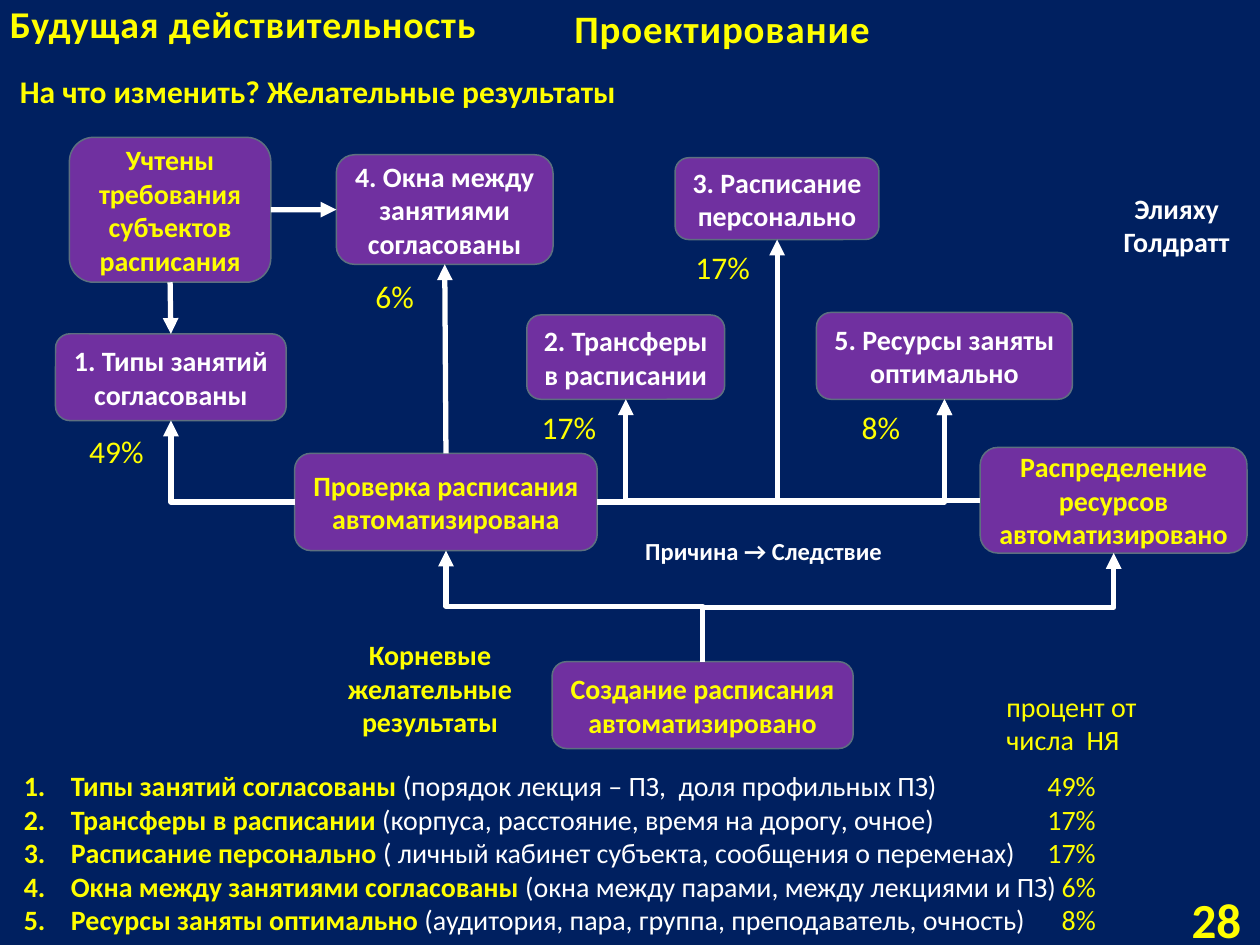
from lxml.etree import SubElement
from pptx import Presentation
from pptx.dml.color import RGBColor
from pptx.enum.shapes import MSO_CONNECTOR, MSO_SHAPE
from pptx.enum.text import MSO_ANCHOR, PP_ALIGN
from pptx.oxml.ns import qn
from pptx.util import Cm, Pt

NAVY, PURPLE, SLATE = "002060", "7030A0", "5D7080"
WHITE, YELLOW = "FFFFFF", "FFFF00"
TOP, LEFT, BOTTOM, RIGHT = range(4)

BOXES = {
    "personal": (13.61, 3.18, 4.11, 1.65, WHITE, ["3. Расписание персонально"]),
    "windows": (6.78, 3.12, 4.37, 2.21, WHITE, ["4. Окна между занятиями согласованы"]),
    "resources": (16.46, 6.3, 5.16, 1.75, WHITE, ["5. Ресурсы заняты оптимально"]),
    "transfers": (10.62, 6.35, 3.99, 1.7, WHITE, ["2. Трансферы в расписании"]),
    "types": (1.12, 6.73, 4.65, 1.75, WHITE, ["1. Типы занятий согласованы"]),
    "demands": (1.4, 2.77, 4.06, 2.92, YELLOW, ["Учтены требования субъектов расписания"]),
    "allocation": (19.76, 9.02, 5.38, 2.13, YELLOW, ["Распределение ресурсов", "автоматизировано"]),
    "checking": (5.94, 9.14, 6.1, 1.96, YELLOW, ["Проверка расписания автоматизирована"]),
    "creation": (11.13, 13.34, 6.07, 1.75, YELLOW, ["Создание расписания автоматизировано"]),
}

STRAIGHT_LINKS = [
    ("types", TOP, "demands", BOTTOM),
    ("windows", LEFT, "demands", RIGHT),
    ("windows", BOTTOM, "checking", TOP),
]

ELBOW_LINKS = [
    ("allocation", BOTTOM, "creation", TOP),
    ("checking", BOTTOM, "creation", TOP),
    ("types", BOTTOM, "checking", LEFT),
    ("resources", BOTTOM, "checking", RIGHT),
    ("transfers", BOTTOM, "allocation", LEFT),
    ("personal", BOTTOM, "allocation", LEFT),
    ("resources", BOTTOM, "allocation", LEFT),
]

PERCENT_LABELS = [
    ("49%", 1.55, 8.59),
    ("17%", 10.67, 8.1),
    ("17%", 13.77, 4.88),
    ("8%", 17.12, 8.1),
    ("6%", 7.32, 5.46),
]

RESULTS = [
    ("Типы занятий согласованы ", "(порядок лекция – ПЗ,  доля профильных ПЗ)", "49%"),
    ("Трансферы в расписании ", "(корпуса, расстояние, время на дорогу, очное)", "17%"),
    ("Расписание персонально ", "( личный кабинет субъекта, сообщения о переменах)", "17%"),
    ("Окна между занятиями согласованы ", "(окна между парами, между лекциями и ПЗ)", "6%"),
    ("Ресурсы заняты оптимально ", "(аудитория, пара, группа, преподаватель, очность)", "8%"),
]


def color(value):
    """Turn a hex string into a colour."""
    return RGBColor.from_string(value)


def add_span(para, text, size, ink, bold=True, spacing=None):
    """Add one formatted run to a paragraph."""
    span = para.add_run()
    span.text = text
    span.font.name = "Calibri"
    span.font.size = Pt(size)
    span.font.bold = bold
    span.font.color.rgb = color(ink)
    if spacing:
        span.font._element.set("spc", str(spacing))


def write_lines(frame, lines, size, ink, align, bold=True, spacing=None):
    """Write each line as a paragraph of a text frame."""
    for index, line in enumerate(lines):
        para = frame.add_paragraph() if index else frame.paragraphs[0]
        para.alignment = align
        add_span(para, line, size, ink, bold, spacing)


def add_label(page, place, lines, size, ink=YELLOW, align=PP_ALIGN.LEFT, bold=True,
              anchor=MSO_ANCHOR.TOP, wrap=True, spacing=None):
    """Add a text box with uniformly formatted lines."""
    box = page.shapes.add_textbox(*map(Cm, place))
    box.text_frame.word_wrap = wrap
    box.text_frame.vertical_anchor = anchor
    write_lines(box.text_frame, lines, size, ink, align, bold, spacing)


def add_box(page, left, top, width, height, ink, lines):
    """Add a rounded box of the cause and effect tree."""
    place = map(Cm, (left, top, width, height))
    box = page.shapes.add_shape(MSO_SHAPE.ROUNDED_RECTANGLE, *place)
    box.shadow.inherit = False
    box.fill.solid()
    box.fill.fore_color.rgb = color(PURPLE)
    box.line.color.rgb = color(SLATE)
    box.line.width = Pt(0.85)
    box.text_frame.word_wrap = True
    box.text_frame.vertical_anchor = MSO_ANCHOR.MIDDLE
    write_lines(box.text_frame, lines, 16, ink, PP_ALIGN.CENTER)
    return box


def add_link(page, kind, effect, effect_side, cause, cause_side):
    """Join two boxes with a line whose arrowhead is at the effect."""
    link = page.shapes.add_connector(kind, 0, 0, 0, 0)
    link.begin_connect(effect, effect_side)
    link.end_connect(cause, cause_side)
    link.line.color.rgb = color(WHITE)
    link.line.width = Pt(3)
    SubElement(link.line._get_or_add_ln(), qn("a:headEnd"), type="triangle")
    SubElement(link._element.spPr, qn("a:effectLst"))
    return link


def turn_elbow(link, cause_side):
    """Make an elbow leave the effect downwards."""
    start_x, start_y = link.begin_x, link.begin_y
    end_x, end_y = link.end_x, link.end_y
    width, height = abs(end_y - start_y), abs(end_x - start_x)
    link.left = (start_x + end_x - width) // 2
    link.top = (start_y + end_y - height) // 2
    link.width, link.height = width, height
    goes_right = end_x > start_x
    frame = link._element.spPr.find(qn("a:xfrm"))
    frame.set("rot", "16200000" if goes_right else "5400000")
    frame.set("flipH", "1" if goes_right else "0")
    frame.set("flipV", "0")
    if cause_side in (LEFT, RIGHT):
        link._element.spPr.find(qn("a:prstGeom")).set("prst", "bentConnector2")


def add_results(page):
    """Add the numbered list of results with right-aligned percentages."""
    box = page.shapes.add_textbox(Cm(0.23), Cm(15.37), Cm(23.06), Cm(3.68))
    frame = box.text_frame
    frame.word_wrap = True
    for index, (name, detail, percent) in enumerate(RESULTS):
        para = frame.add_paragraph() if index else frame.paragraphs[0]
        properties = para._p.get_or_add_pPr()
        properties.set("marL", str(Cm(0.95)))
        properties.set("indent", str(-Cm(0.95)))
        SubElement(properties, qn("a:buFont"), typeface="+mj-lt")
        SubElement(properties, qn("a:buAutoNum"), type="arabicPeriod")
        tabs = SubElement(properties, qn("a:tabLst"))
        SubElement(tabs, qn("a:tab"), pos=str(Cm(21.87)), algn="r")
        add_span(para, name, 16, YELLOW)
        add_span(para, detail + "\t", 16, WHITE, False)
        add_span(para, percent, 16, YELLOW, False)


def main():
    """Build the slide and save it."""
    deck = Presentation()
    deck.slide_width, deck.slide_height = Cm(25.4), Cm(19.05)
    page = deck.slides.add_slide(deck.slide_layouts[6])
    page.background.fill.solid()
    page.background.fill.fore_color.rgb = color(NAVY)

    middle, center = MSO_ANCHOR.MIDDLE, PP_ALIGN.CENTER
    add_label(page, (-0.05, -0.13, 10.29, 1.22), ["Будущая действительность"], 21.6,
              anchor=middle, wrap=False, spacing=50)
    add_label(page, (11.33, 0, 6.78, 1.14), ["Проектирование"], 22.2,
              anchor=middle, wrap=False, spacing=50)
    add_label(page, (0.15, 1.32, 13.08, 1.02), ["На что изменить? Желательные результаты"], 18)

    boxes = {name: add_box(page, *values) for name, values in BOXES.items()}
    for effect, effect_side, cause, cause_side in STRAIGHT_LINKS:
        add_link(page, MSO_CONNECTOR.STRAIGHT, boxes[effect], effect_side,
                 boxes[cause], cause_side)
    for effect, effect_side, cause, cause_side in ELBOW_LINKS:
        link = add_link(page, MSO_CONNECTOR.ELBOW, boxes[effect], effect_side,
                        boxes[cause], cause_side)
        turn_elbow(link, cause_side)

    for text, left, top in PERCENT_LABELS:
        add_label(page, (left, top, 1.78, 1.02), [text], 18, bold=False)
    add_label(page, (22.35, 3.73, 2.74, 1.63), ["Элияху Голдратт"], 16, WHITE, center)
    add_label(page, (12.5, 10.69, 5.79, 0.86), ["Причина → Следствие"], 14, WHITE, center)
    add_label(page, (6.27, 12.73, 4.8, 2.31), ["Корневые желательные результаты"], 16, align=center)
    add_label(page, (20.04, 13.77, 3.35, 1.63), ["процент от", "числа  НЯ"], 16, bold=False)
    add_results(page)
    add_label(page, (22.86, 18.01, 2.41, 1.02), ["28"], 28, align=PP_ALIGN.RIGHT, anchor=middle)
    deck.save("out.pptx")


if __name__ == "__main__":
    main()
